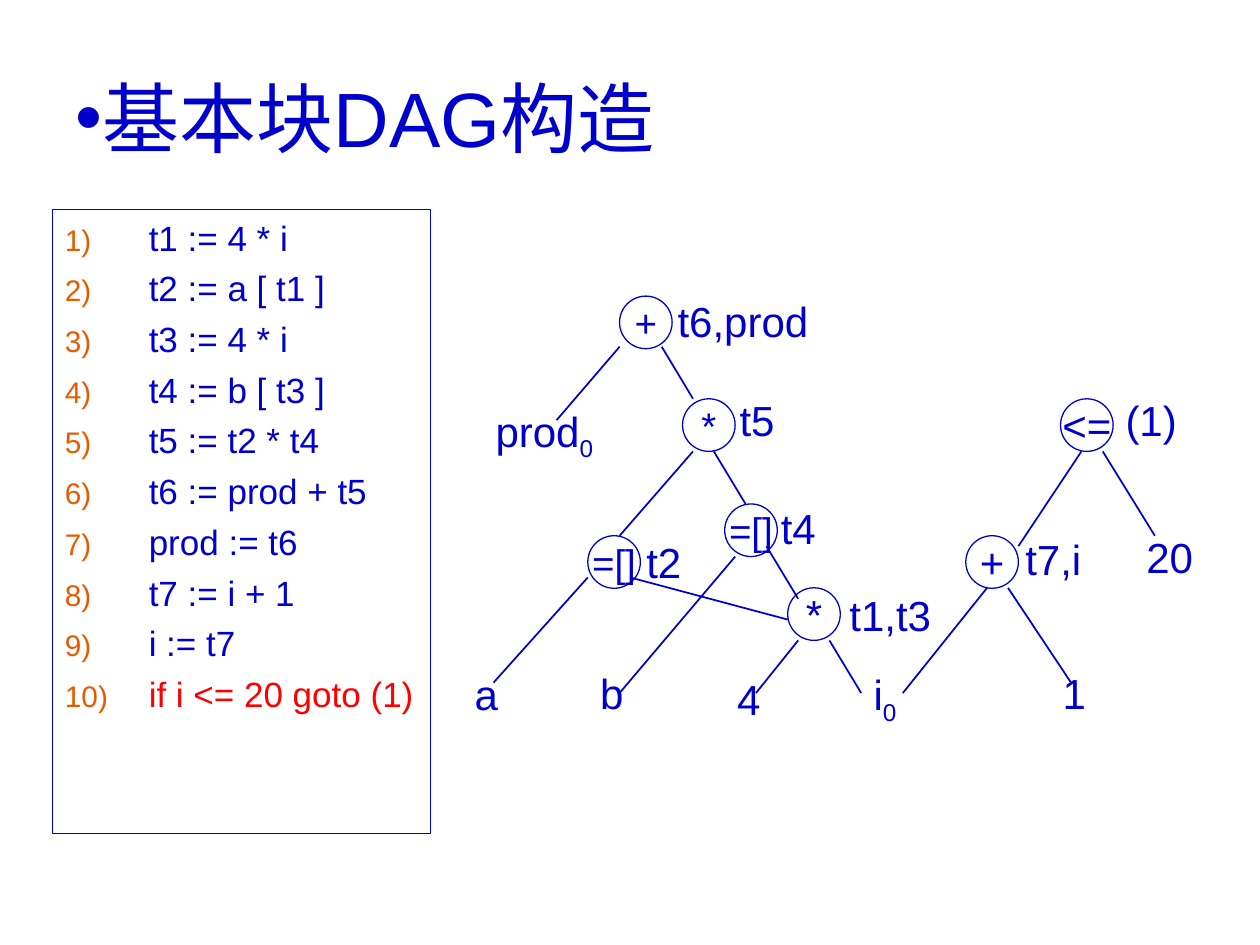
import pptx
import pptx.dml.color
import pptx.enum.shapes
import pptx.enum.text
import pptx.oxml
import pptx.oxml.ns
import pptx.util

Cm, Pt = pptx.util.Cm, pptx.util.Pt
SHAPE = pptx.enum.shapes.MSO_SHAPE
ALIGN = pptx.enum.text.PP_ALIGN
ANCHOR = pptx.enum.text.MSO_ANCHOR
FIT = pptx.enum.text.MSO_AUTO_SIZE
BLUE, RED, ORANGE = "0000CC", "FF0000", "E45C00"
NODE = 1.06


def rgb(value):
    return pptx.dml.color.RGBColor.from_string(value)


def assign(target, values):
    for name, value in values.items():
        setattr(target, name, value)


def add_xml(parent, xml):
    ns = pptx.oxml.ns.nsdecls("a")
    for el in pptx.oxml.parse_xml(f"<a:x {ns}>{xml}</a:x>"):
        parent.append(el)


class DagSlide:
    """Draws text, nodes and edges on one slide in a shared style."""

    def __init__(self, prs, font="Arial", color=BLUE):
        self.s = prs.slides.add_slide(prs.slide_layouts[6])
        self.font, self.color = font, color

    def run(self, p, text, size, color=None, sub=False):
        r = p.add_run()
        r.text = text
        assign(r.font, {"name": self.font, "size": Pt(size)})
        r.font.color.rgb = rgb(color or self.color)
        if sub:
            r.font._element.set("baseline", "-25000")

    def text(self, x, y, w, h, text, sub="", size=24, frame=None, para=None):
        sp = self.s.shapes.add_textbox(Cm(x), Cm(y), Cm(w), Cm(h))
        tf = sp.text_frame
        assign(tf, frame or {"word_wrap": True, "auto_size": FIT.SHAPE_TO_FIT_TEXT})
        p = tf.paragraphs[0]
        assign(p, para or {"space_before": Pt(15)})
        self.run(p, text, size)
        if sub:
            self.run(p, sub, size, sub=True)
        return p

    def title(self, x, y, w, h, text):
        frame = {"word_wrap": True, "vertical_anchor": ANCHOR.MIDDLE}
        p = self.text(x, y, w, h, text, size=44, frame=frame,
                      para={"alignment": ALIGN.LEFT})
        pPr = p._p.get_or_add_pPr()
        assign(pPr, {"marL": 0})
        pPr.set("marL", "0")
        pPr.set("indent", "0")
        add_xml(pPr, f'<a:buFont typeface="{self.font}"/><a:buChar char="•"/>')

    def outline(self, kind, x, y, w, h):
        sp = self.s.shapes.add_shape(kind, Cm(x), Cm(y), Cm(w), Cm(h))
        sp.shadow.inherit = False
        sp.fill.background()
        sp.line.color.rgb = rgb(self.color)
        sp.line.width = Pt(0.75)
        return sp

    def code(self, x, y, w, h, lines):
        tf = self.outline(SHAPE.RECTANGLE, x, y, w, h).text_frame
        assign(tf, {"word_wrap": True, "vertical_anchor": ANCHOR.TOP})
        for i, (line, color) in enumerate(lines):
            p = tf.add_paragraph() if i else tf.paragraphs[0]
            assign(p, {"alignment": ALIGN.LEFT, "space_before": Pt(5)})
            pPr = p._p.get_or_add_pPr()
            pPr.set("marL", str(Cm(1.69)))
            pPr.set("indent", str(-Cm(1.69)))
            add_xml(pPr, f'<a:buClr><a:srgbClr val="{ORANGE}"/></a:buClr>'
                         f'<a:buSzPct val="85000"/><a:buFont typeface="{self.font}"/>'
                         '<a:buAutoNum type="arabicParenR"/>')
            self.run(p, line, 20, color)

    def node(self, x, y, text, size):
        tf = self.outline(SHAPE.OVAL, x, y, NODE, NODE).text_frame
        assign(tf, {"word_wrap": False, "vertical_anchor": ANCHOR.MIDDLE})
        p = tf.paragraphs[0]
        assign(p, {"alignment": ALIGN.CENTER})
        self.run(p, text, size)

    def edge(self, x1, y1, x2, y2):
        straight = pptx.enum.shapes.MSO_CONNECTOR.STRAIGHT
        sp = self.s.shapes.add_connector(straight, Cm(x1), Cm(y1), Cm(x2), Cm(y2))
        sp.line.color.rgb = rgb(self.color)
        sp.line.width = Pt(1)
        add_xml(sp._element.spPr, "<a:effectLst/>")


CODE = ["t1 := 4 * i", "t2 := a [ t1 ]", "t3 := 4 * i", "t4 := b [ t3 ]",
        "t5 := t2 * t4", "t6 := prod + t5", "prod := t6", "t7 := i + 1", "i := t7"]

NODES = [
    (12.49, 5.97, "+", 22), (13.76, 8.04, "*", 22), (11.85, 10.8, "=[]", 22),
    (14.61, 10.16, "=[]", 22), (15.88, 11.85, "*", 24),
    (21.38, 8.04, "<=", 24), (19.47, 10.8, "+", 24),
]

LABELS = [
    (13.41, 5.84, 3.53, 1.27, "t6,prod"), (14.66, 7.82, 1.35, 1.27, "t5"),
    (12.78, 10.69, 1.35, 1.27, "t2"), (15.49, 10.01, 1.35, 1.27, "t4"),
    (16.64, 11.76, 2.82, 1.27, " t1,t3"), (22.44, 7.82, 1.7, 1.27, "(1)"),
    (20.42, 10.64, 1.8, 1.27, "t7,i"),
    (9.74, 8.04, 2.74, 1.42, "prod", "0"), (9.32, 13.36, NODE, 1.27, "a"),
    (11.85, 13.34, NODE, 1.27, "b"), (14.61, 13.46, NODE, 1.27, "4"),
    (17.36, 13.36, NODE, 1.42, "i", "0"), (21.17, 13.34, NODE, 1.27, "1"),
    (22.86, 10.58, 1.47, 1.27, "20"),
]

EDGES = [
    (12.49, 6.99, 11.22, 8.47), (13.34, 6.99, 13.97, 8.04),
    (13.97, 9.1, 12.49, 10.8), (14.39, 9.1, 15.03, 10.16),
    (11.85, 11.64, 9.95, 13.76), (12.7, 11.64, 15.88, 12.49),
    (14.82, 11.22, 12.49, 13.97), (15.45, 11.01, 16.09, 12.07),
    (16.09, 12.91, 15.24, 13.97), (16.72, 12.91, 17.36, 13.97),
    (21.8, 9.1, 20.53, 11.01), (22.23, 9.1, 23.28, 10.8),
    (19.9, 11.85, 18.2, 13.97), (20.32, 11.85, 21.59, 13.76),
]


def main():
    prs = pptx.Presentation()
    assign(prs, {"slide_width": Cm(25.4), "slide_height": Cm(19.05)})
    dag = DagSlide(prs)
    dag.title(1.27, 0.76, 22.86, 3.18, "基本块DAG构造")
    lines = [(line, BLUE) for line in CODE] + [("if i <= 20 goto (1)", RED)]
    dag.code(1.06, 4.23, 7.62, 12.57, lines)
    for draw, items in ((dag.node, NODES), (dag.edge, EDGES), (dag.text, LABELS)):
        for item in items:
            draw(*item)
    prs.save("out.pptx")


if __name__ == "__main__":
    main()
